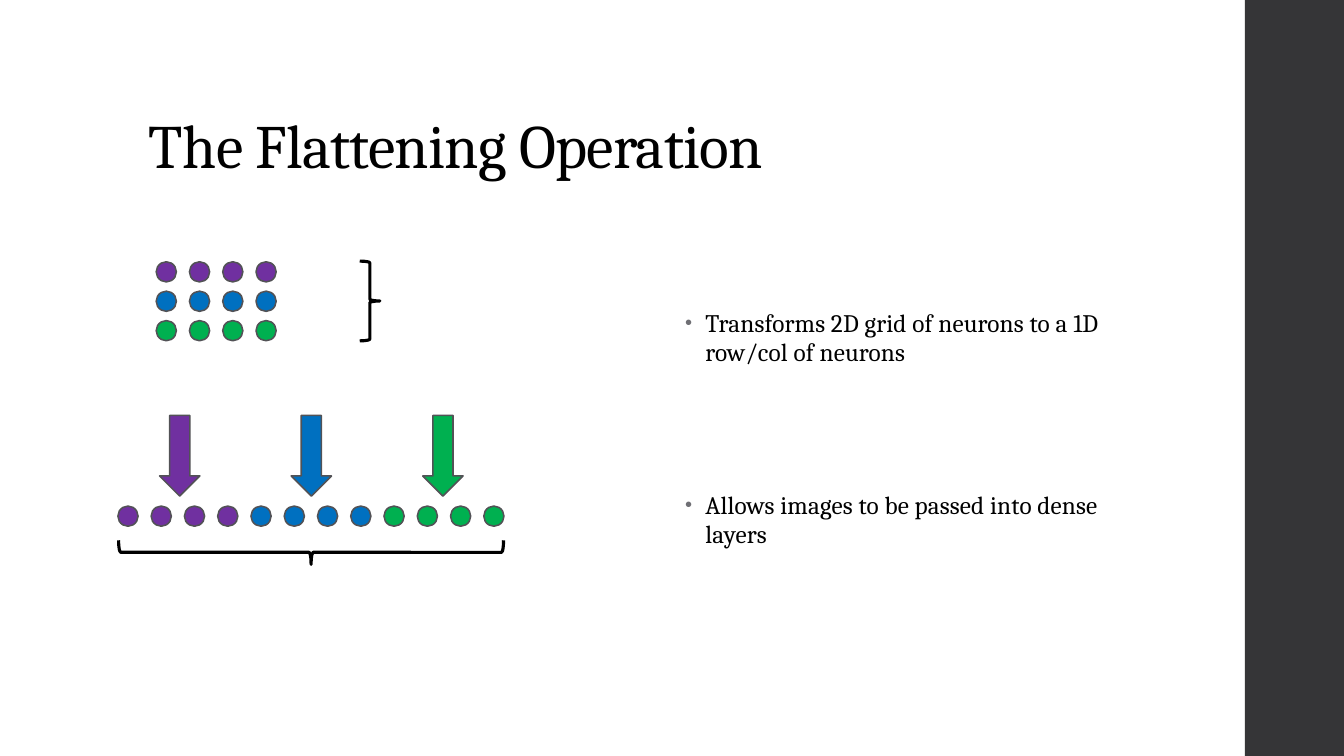
from dataclasses import dataclass

from lxml import etree
from pptx import Presentation
from pptx.dml.color import RGBColor
from pptx.enum.shapes import MSO_SHAPE
from pptx.enum.text import MSO_ANCHOR
from pptx.oxml.ns import qn
from pptx.shapes.autoshape import Shape
from pptx.slide import Slide
from pptx.text.text import _Paragraph as Paragraph
from pptx.util import Pt

RECTANGLE = MSO_SHAPE.RECTANGLE
OVAL = MSO_SHAPE.OVAL
DOWN_ARROW = MSO_SHAPE.DOWN_ARROW
RIGHT_BRACE = MSO_SHAPE.RIGHT_BRACE
TOP, BOTTOM = MSO_ANCHOR.TOP, MSO_ANCHOR.BOTTOM


@dataclass(frozen=True)
class Theme:
    font: str = "Cambria"
    title_size: float = 44
    body_size: float = 18
    text: str = "000000"
    bullet: str = "6F6F74"
    band: str = "353537"
    outline: str = "525256"
    outline_width: float = 1.1
    brace_width: float = 2.25
    neuron_rows: tuple[str, ...] = ("7030A0", "0070C0", "00B050")


@dataclass(frozen=True)
class Box:
    left: float
    top: float
    width: float
    height: float


@dataclass(frozen=True)
class Brace:
    box: Box
    rotation: float = 0


THEME = Theme()

SLIDE_WIDTH, SLIDE_HEIGHT = 960, 540
BAND = Box(889.2, 0, 72 - 1.2, SLIDE_HEIGHT)
TITLE_BOX = Box(99.36, 28.8, 763.2, 104.4)
BODY_BOX = Box(482.4, 144, 352.8, 342.72)
BODY_INSET = 77
BULLET_INDENT = 14.4
BULLETS = (
    "Transforms 2D grid of neurons to a 1D row/col of neurons",
    "Allows images to be passed into dense layers",
)
BULLET_GAP = 87

COLUMNS = 4
NEURON = 14.4
NEURON_STEP = 23.76
GRID_LEFT, GRID_TOP, GRID_ROW_STEP = 111.6, 187, 21
FLAT_LEFT, FLAT_TOP = 84.24, 361.5
ARROW_LEFT, ARROW_TOP, ARROW_STEP = 114, 296.8, 94
ARROW_WIDTH, ARROW_HEIGHT = 28.8, 57.6
BRACES = (
    Brace(Box(257, 186.5, 14.4, 57)),
    Brace(Box(213.6, 257, 17.2, 275), 90),
)


def set_attributes(target: object, values: dict[str, object]) -> None:
    for name, value in values.items():
        setattr(target, name, value)


def lengths(box: Box) -> tuple[Pt, Pt, Pt, Pt]:
    return Pt(box.left), Pt(box.top), Pt(box.width), Pt(box.height)


def add_shape(slide: Slide, kind: MSO_SHAPE, box: Box, fill: str | None = None,
              line: str | None = None, line_width: float = THEME.outline_width) -> Shape:
    shape = slide.shapes.add_shape(kind, *lengths(box))
    shape.shadow.inherit = False
    if fill:
        shape.fill.solid()
        shape.fill.fore_color.rgb = RGBColor.from_string(fill)
    else:
        shape.fill.background()
    if line:
        shape.line.color.rgb = RGBColor.from_string(line)
        shape.line.width = Pt(line_width)
    else:
        shape.line.fill.background()
    return shape


def add_bullet(paragraph: Paragraph) -> None:
    properties = paragraph._p.get_or_add_pPr()
    properties.set("marL", str(Pt(BULLET_INDENT)))
    properties.set("indent", str(-Pt(BULLET_INDENT)))
    color = etree.SubElement(properties, qn("a:buClr"))
    etree.SubElement(color, qn("a:srgbClr"), val=THEME.bullet)
    etree.SubElement(properties, qn("a:buSzPct"), val="80000")
    etree.SubElement(properties, qn("a:buFont"), typeface="Arial")
    etree.SubElement(properties, qn("a:buChar"), char="•")


def add_text(slide: Slide, box: Box, texts: tuple[str, ...], size: float, tracking: int,
             frame_format: dict[str, object], paragraph_format: dict[str, object],
             bulleted: bool = False, gap: float = 0) -> None:
    frame = slide.shapes.add_textbox(*lengths(box)).text_frame
    set_attributes(frame, {"word_wrap": True, **frame_format})
    for index, text in enumerate(texts):
        paragraph = frame.add_paragraph() if index else frame.paragraphs[0]
        if bulleted:
            add_bullet(paragraph)
        set_attributes(paragraph, paragraph_format)
        if index:
            paragraph.space_before = Pt(gap)
        run = paragraph.add_run()
        run.text = text
        set_attributes(run.font, {"name": THEME.font, "size": Pt(size)})
        run.font.color.rgb = RGBColor.from_string(THEME.text)
        run._r.get_or_add_rPr().set("spc", str(tracking))


def add_neurons(slide: Slide, left: float, top: float, color: str) -> None:
    for column in range(COLUMNS):
        box = Box(left + column * NEURON_STEP, top, NEURON, NEURON)
        add_shape(slide, OVAL, box, color, THEME.outline)


def build_slide(slide: Slide) -> None:
    # Side band and text
    add_shape(slide, RECTANGLE, BAND, THEME.band)
    add_text(slide, TITLE_BOX, ("The Flattening Operation",), THEME.title_size, -50,
             {"vertical_anchor": BOTTOM}, {"line_spacing": 0.9})
    add_text(slide, BODY_BOX, BULLETS, THEME.body_size, 10,
             {"vertical_anchor": TOP, "margin_top": Pt(BODY_INSET)},
             {"line_spacing": 0.95, "space_after": Pt(2)}, bulleted=True, gap=BULLET_GAP)

    # Each grid row, its arrow and its part of the flattened row
    for row, color in enumerate(THEME.neuron_rows):
        add_neurons(slide, GRID_LEFT, GRID_TOP + row * GRID_ROW_STEP, color)
        arrow = Box(ARROW_LEFT + row * ARROW_STEP, ARROW_TOP, ARROW_WIDTH, ARROW_HEIGHT)
        add_shape(slide, DOWN_ARROW, arrow, color, THEME.outline)
        add_neurons(slide, FLAT_LEFT + row * COLUMNS * NEURON_STEP, FLAT_TOP, color)

    # Braces beside the grid and below the flattened row
    for brace in BRACES:
        shape = add_shape(slide, RIGHT_BRACE, brace.box, line=THEME.text,
                          line_width=THEME.brace_width)
        shape.rotation = brace.rotation


def main() -> None:
    presentation = Presentation()
    set_attributes(presentation, {"slide_width": Pt(SLIDE_WIDTH),
                                  "slide_height": Pt(SLIDE_HEIGHT)})
    build_slide(presentation.slides.add_slide(presentation.slide_layouts[6]))
    presentation.save("out.pptx")


if __name__ == "__main__":
    main()
